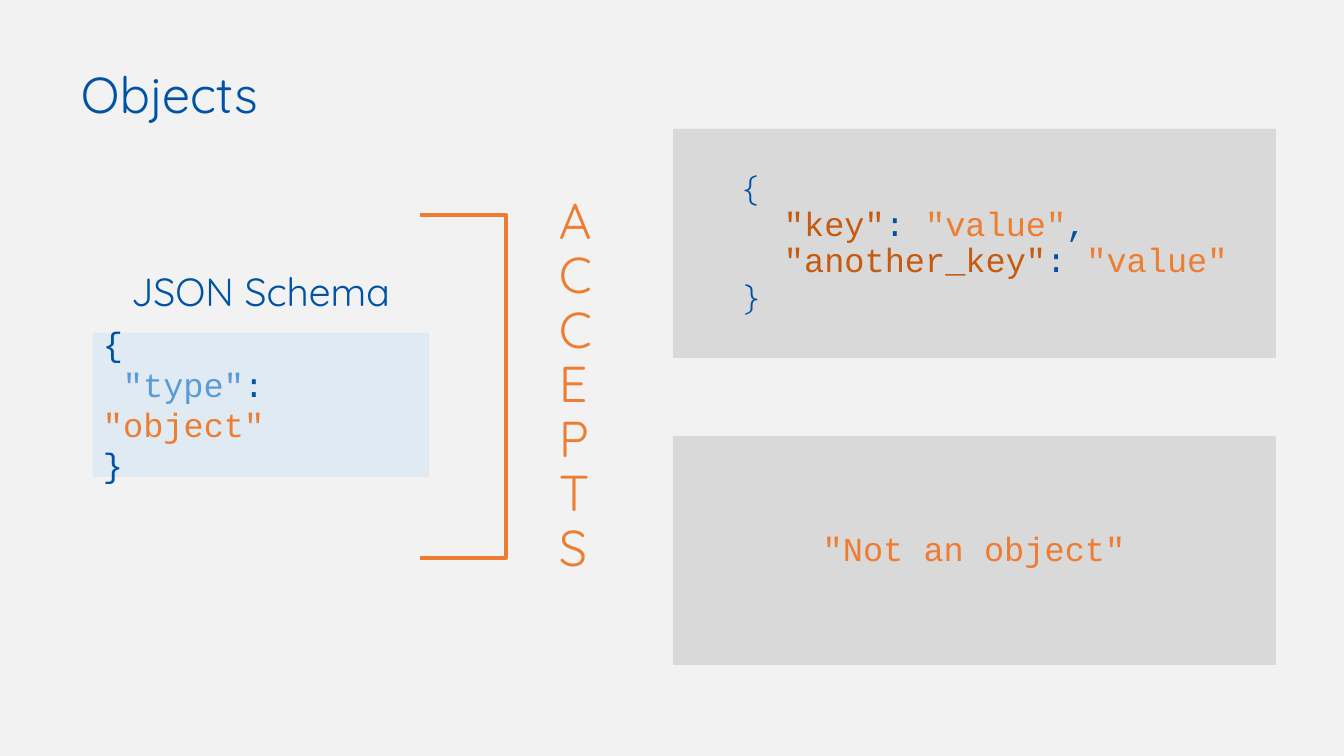
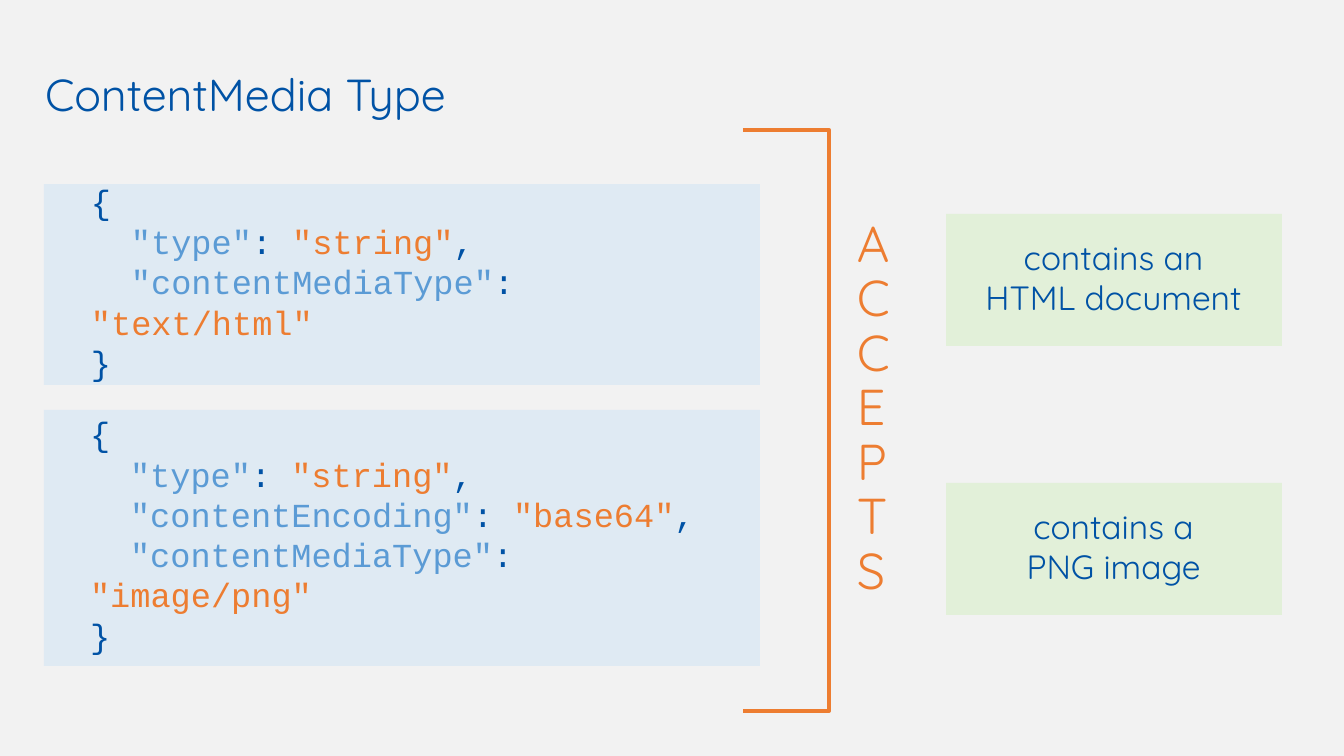
"""Build two slides that pair JSON schemas with what they accept."""
from dataclasses import dataclass
from typing import Optional

from pptx import Presentation
from pptx import util as u
from pptx.dml.color import RGBColor
from pptx.enum import shapes, text

EMU_PER_PX = 914400 / 100.8


@dataclass(frozen=True)
class Theme:
    """Colours, fonts and type sizes of the deck."""
    background: str = "F2F2F2"
    ink: str = "0052A5"
    accent: str = "ED7D31"
    keyword: str = "5B9BD5"
    data_key: str = "C55A11"
    schema: str = "DFEAF3"
    sample: str = "D9D9D9"
    note: str = "E2F0D9"
    sans: str = "Quicksand"
    mono: str = "Courier New"
    body: int = 24
    caption: int = 28
    heading: int = 36
    long_heading: int = 32
    bracket_line: int = 3
    tight: float = 0.9


THEME = Theme()


@dataclass(frozen=True)
class Box:
    """A rectangle in px."""
    left: int
    top: int
    width: int
    height: int


@dataclass(frozen=True)
class Run:
    """A piece of text in one colour."""
    text: str
    color: str = THEME.ink


@dataclass(frozen=True)
class Line:
    """A paragraph with one font and an optional first-line indent in px."""
    runs: tuple[Run, ...]
    font: str = THEME.mono
    size: int = THEME.body
    indent: int = 0


@dataclass(frozen=True)
class TextStyle:
    """Paragraph and frame settings of a text box."""
    centered: bool = False
    spacing: Optional[float] = THEME.tight
    insets: tuple[int, int, int, int] = (10, 5, 10, 5)
    grow: bool = False


TIGHT = TextStyle()
TIGHT_CENTER = TextStyle(centered=True)
SCHEMA_TEXT = TextStyle(spacing=None, grow=True)
FLUSH_SCHEMA = TextStyle(spacing=None, insets=(0, 0, 0, 7), grow=True)
NOTE_TEXT = TextStyle(True, None, (0, 0, 0, 7), True)
LETTER_COLUMN = TextStyle(insets=(10, 5, 0, 5))


def px(length: int) -> u.Emu:
    """Turn px into EMU."""
    return u.Emu(round(length * EMU_PER_PX))


def place(box: Box) -> tuple[u.Emu, ...]:
    """Return the box as EMU."""
    return px(box.left), px(box.top), px(box.width), px(box.height)


def plain(words: str, font: str = THEME.sans, size: int = THEME.body,
          color: str = THEME.ink) -> Line:
    """Make a line in a single colour."""
    return Line((Run(words, color),), font, size)


def pair(key: str, value: str, comma: bool = False,
         key_color: str = THEME.keyword, indent: int = 40) -> Line:
    """Make an indented JSON key and value."""
    runs = (Run(f'"{key}"', key_color), Run(": "), Run(f'"{value}"', THEME.accent))
    return Line(runs + ((Run(","),) if comma else ()), indent=indent)


def json_object(*pairs: Line, brace_font: str = THEME.mono) -> list[Line]:
    """Wrap lines in braces."""
    return [plain("{", brace_font), *pairs, plain("}", brace_font)]


def write(frame, lines: list[Line], style: TextStyle) -> None:
    """Fill a text frame with styled lines."""
    frame.word_wrap = True
    frame.auto_size = (text.MSO_AUTO_SIZE.SHAPE_TO_FIT_TEXT if style.grow
                       else text.MSO_AUTO_SIZE.NONE)
    frame.vertical_anchor = text.MSO_ANCHOR.MIDDLE
    (frame.margin_left, frame.margin_top,
     frame.margin_right, frame.margin_bottom) = map(px, style.insets)
    for index, line in enumerate(lines):
        paragraph = frame.add_paragraph() if index else frame.paragraphs[0]
        paragraph.alignment = text.PP_ALIGN.CENTER if style.centered else text.PP_ALIGN.LEFT
        if style.spacing:
            paragraph.line_spacing = style.spacing
        if line.indent:
            paragraph._p.get_or_add_pPr().set("indent", str(px(line.indent)))
        base_color = line.runs[0].color
        paragraph.font.name = line.font
        paragraph.font.size = u.Pt(line.size)
        paragraph.font.color.rgb = RGBColor.from_string(base_color)
        for piece in line.runs:
            run = paragraph.add_run()
            run.text = piece.text
            if piece.color != base_color:
                run.font.color.rgb = RGBColor.from_string(piece.color)


def add_text(slide, box: Box, lines: list[Line], style: TextStyle) -> None:
    """Add a text box."""
    write(slide.shapes.add_textbox(*place(box)).text_frame, lines, style)


def add_panel(slide, box: Box, color: str) -> None:
    """Add a flat coloured panel."""
    shape = slide.shapes.add_shape(shapes.MSO_SHAPE.RECTANGLE, *place(box))
    shape.shadow.inherit = False
    shape.fill.solid()
    shape.fill.fore_color.rgb = RGBColor.from_string(color)
    shape.line.fill.background()


def add_accepts(slide, bracket: Box, left: int, top: int) -> None:
    """Add the square bracket and the vertical word beside it."""
    shape = slide.shapes.add_shape(shapes.MSO_SHAPE.RIGHT_BRACKET, *place(bracket))
    shape.shadow.inherit = False
    shape.adjustments[0] = 0
    shape.fill.background()
    shape.line.color.rgb = RGBColor.from_string(THEME.accent)
    shape.line.width = u.Pt(THEME.bracket_line)
    word = plain("ACCEPTS", size=THEME.heading, color=THEME.accent)
    add_text(slide, Box(left, top, 19, 597), [word], LETTER_COLUMN)


def add_titled_slide(presentation, title: str, left: int, size: int):
    """Add a title-only slide and format its title."""
    slide = presentation.slides.add_slide(presentation.slide_layouts[5])
    shape = slide.shapes.title
    shape.left, shape.top, shape.width, shape.height = place(Box(left, 24, 636, 146))
    write(shape.text_frame, [plain(title, size=size)], TIGHT)
    return slide


def build_objects(presentation) -> None:
    """Build the slide on the object type."""
    slide = add_titled_slide(presentation, "Objects", 71, THEME.heading)
    add_panel(slide, Box(93, 333, 336, 144), THEME.schema)
    add_text(slide, Box(93, 338, 337, 132),
             json_object(pair("type", "object", indent=20)), SCHEMA_TEXT)
    add_text(slide, Box(115, 258, 291, 72),
             [plain("JSON Schema", size=THEME.caption)], TIGHT_CENTER)
    add_accepts(slide, Box(420, 215, 86, 343), 549, 88)
    for top in (129, 436):
        add_panel(slide, Box(673, top, 603, 229), THEME.sample)
    sample = json_object(pair("key", "value", True, THEME.data_key),
                         pair("another_key", "value", False, THEME.data_key),
                         brace_font=THEME.sans)
    add_text(slide, Box(734, 135, 519, 217), sample, TIGHT)
    add_text(slide, Box(802, 501, 344, 99),
             [plain('"Not an object"', THEME.mono, color=THEME.accent)], TIGHT_CENTER)


def build_content_media_type(presentation) -> None:
    """Build the slide on the media type of string content."""
    slide = add_titled_slide(presentation, "ContentMedia Type", 35, THEME.long_heading)
    html = json_object(pair("type", "string", True),
                       pair("contentMediaType", "text/html"))
    png = json_object(pair("type", "string", True),
                      pair("contentEncoding", "base64", True),
                      pair("contentMediaType", "image/png"))
    for panel, box, lines in (
            (Box(44, 184, 716, 201), Box(91, 200, 616, 170), html),
            (Box(44, 410, 716, 256), Box(90, 432, 618, 211), png)):
        add_panel(slide, panel, THEME.schema)
        add_text(slide, box, lines, FLUSH_SCHEMA)
    add_accepts(slide, Box(743, 130, 86, 581), 847, 111)
    for top, words in ((214, ("contains an", "HTML document")),
                       (483, ("contains a", "PNG image"))):
        add_panel(slide, Box(946, top, 336, 132), THEME.note)
        add_text(slide, Box(971, top + 22, 285, 89),
                 [plain(line) for line in words], NOTE_TEXT)


def main() -> None:
    """Build and save the presentation."""
    presentation = Presentation()
    presentation.slide_width, presentation.slide_height = px(1344), px(756)
    fill = presentation.slide_master.background.fill
    fill.solid()
    fill.fore_color.rgb = RGBColor.from_string(THEME.background)
    build_objects(presentation)
    build_content_media_type(presentation)
    presentation.save("out.pptx")


if __name__ == "__main__":
    main()
